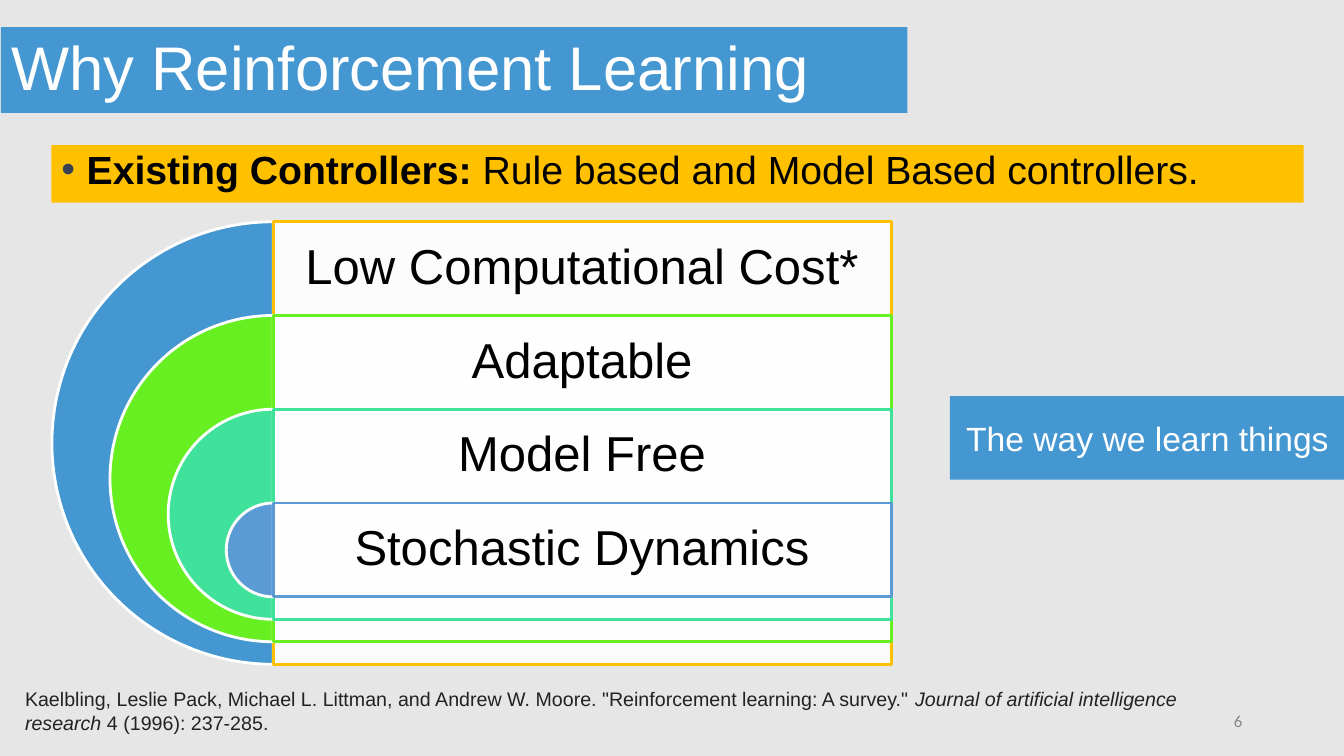
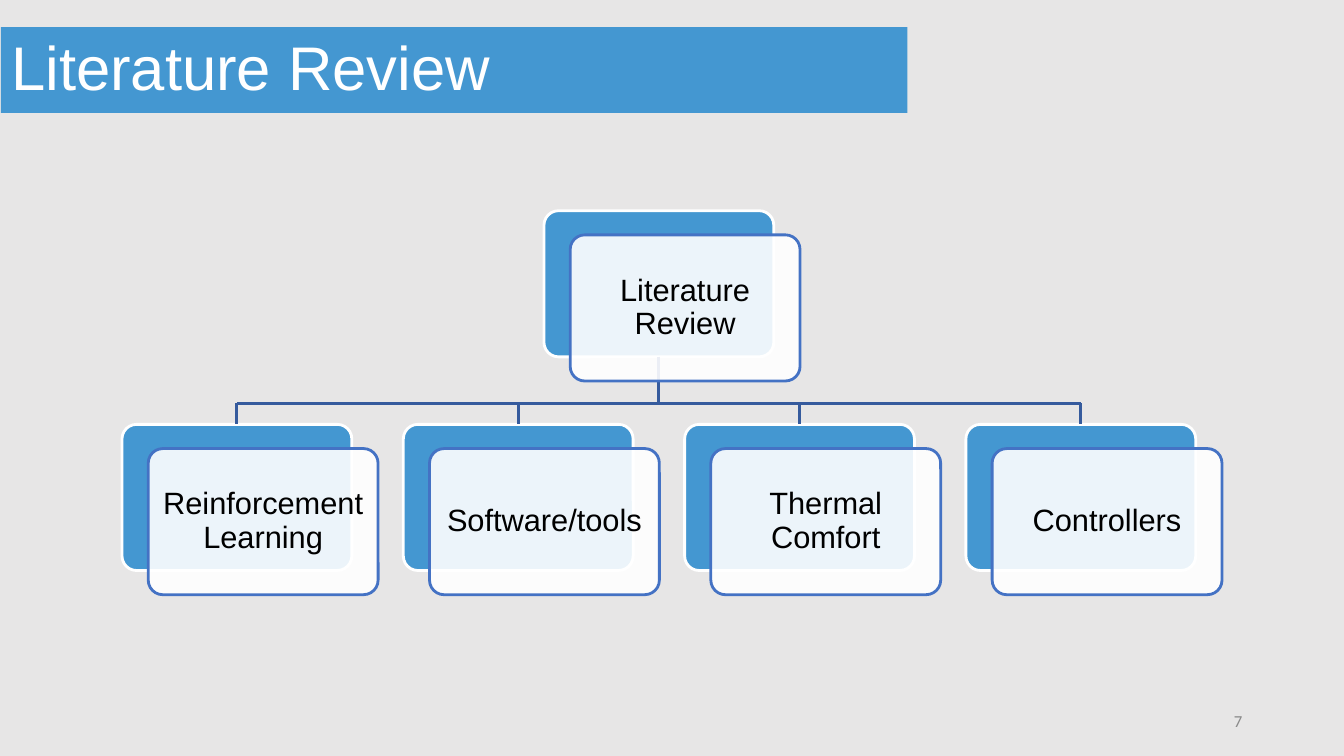
from lxml.etree import SubElement
from pptx import Presentation
from pptx.dml.color import RGBColor
from pptx.enum.shapes import MSO_CONNECTOR, MSO_SHAPE
from pptx.enum.text import MSO_ANCHOR, MSO_AUTO_SIZE, PP_ALIGN
from pptx.oxml.ns import qn
from pptx.util import Inches, Pt

BLUE = RGBColor(0x44, 0x97, 0xD1)
SOFT_BLUE = RGBColor(0x5B, 0x9B, 0xD5)
CARD_EDGE = RGBColor(0x44, 0x72, 0xC4)
TREE_LINE = RGBColor(0x36, 0x5B, 0x9D)
AMBER = RGBColor(0xFF, 0xC0, 0x00)
LIME = RGBColor(0x67, 0xEF, 0x21)
MINT = RGBColor(0x3F, 0xE1, 0x9B)
WHITE = RGBColor(0xFF, 0xFF, 0xFF)
BLACK = RGBColor(0x00, 0x00, 0x00)
INK = RGBColor(0x22, 0x22, 0x22)
BULLET = RGBColor(0x37, 0x41, 0x51)
GREY = RGBColor(0x89, 0x89, 0x89)
BACKDROP = RGBColor(0xE7, 0xE6, 0xE6)
TITLE_AND_CONTENT, TITLE_ONLY = 1, 5


def write(shape, spans, size, color, name="Arial", align=PP_ALIGN.LEFT,
          anchor=MSO_ANCHOR.MIDDLE, spacing=1.0):
    """Fill the shape with one paragraph made of (text, font attributes) spans."""
    frame = shape.text_frame
    frame.word_wrap = True
    frame.auto_size = MSO_AUTO_SIZE.NONE
    frame.vertical_anchor = anchor
    para = frame.paragraphs[0]
    para.alignment = align
    para.line_spacing = spacing
    para.space_before = Pt(0)
    for text, extras in spans:
        span = para.add_run()
        span.text = text
        span.font.color.rgb = color
        for key, value in {"name": name, "size": Pt(size), **extras}.items():
            setattr(span.font, key, value)
    return para


def add_block(page, kind, left, top, width, height, fill, edge=None, opacity=100):
    block = page.shapes.add_shape(
        kind, Inches(left), Inches(top), Inches(width), Inches(height))
    block.shadow.inherit = False
    block.fill.solid()
    block.fill.fore_color.rgb = fill
    if opacity < 100:
        tint = block.element.spPr.find(qn("a:solidFill"))[0]
        SubElement(tint, qn("a:alpha"), val=str(opacity * 1000))
    if edge is None:
        block.line.fill.background()
    else:
        block.line.color.rgb = edge
        block.line.width = Pt(2)
    return block


deck = Presentation()
deck.slide_width, deck.slide_height = Inches(13.33), Inches(7.5)

# Background, title band and page number
pages = []
for title, layout, number in [
    ("Why Reinforcement Learning", TITLE_AND_CONTENT, "6"),
    ("Literature Review", TITLE_ONLY, "7"),
]:
    page = deck.slides.add_slide(deck.slide_layouts[layout])
    page.background.fill.solid()
    page.background.fill.fore_color.rgb = BACKDROP
    band = page.shapes.title
    band.left, band.top, band.width, band.height = map(Inches, (0.01, 0.27, 8.99, 0.85))
    band.fill.solid()
    band.fill.fore_color.rgb = BLUE
    write(band, [(title, {})], 44, WHITE, spacing=0.9)
    number_box = page.shapes.add_textbox(*map(Inches, (9.42, 6.95, 3, 0.4)))
    write(number_box, [(number, {})], 12, GREY, name="Calibri", align=PP_ALIGN.RIGHT)
    pages.append(page)
reasons_page, review_page = pages

# Reasons: existing controllers
controllers = reasons_page.placeholders[1]
controllers.left, controllers.top, controllers.width, controllers.height = map(
    Inches, (0.51, 1.44, 12.42, 0.57))
controllers.fill.solid()
controllers.fill.fore_color.rgb = AMBER
para = write(
    controllers,
    [("Existing Controllers:", {"bold": True}),
     (" Rule based and Model Based controllers.", {"bold": False})],
    28, BLACK, anchor=MSO_ANCHOR.TOP, spacing=0.9)
bullet_format = para._p.get_or_add_pPr()
bullet_format.set("marL", str(Inches(0.25)))
bullet_format.set("indent", str(-Inches(0.25)))
SubElement(SubElement(bullet_format, qn("a:buClr")), qn("a:srgbClr"), val=str(BULLET))
SubElement(bullet_format, qn("a:buChar"), char="•")

# Reasons: nested half circles, each with a panel labelled in its top row
panel_left, panel_width, row_height = 2.71, 6.13, 0.93
for row, (reason, ring_color, edge) in enumerate([
    ("Low Computational Cost*", BLUE, AMBER),
    ("Adaptable", LIME, LIME),
    ("Model Free", MINT, MINT),
    ("Stochastic Dynamics", SOFT_BLUE, SOFT_BLUE),
]):
    top = 2.2 + row * row_height
    size = 4.39 - row * 1.153
    ring = add_block(reasons_page, MSO_SHAPE.PIE, panel_left - size / 2, top,
                     size, size, ring_color, WHITE)
    ring.adjustments[0], ring.adjustments[1] = 54, 162
    panel = add_block(reasons_page, MSO_SHAPE.RECTANGLE, panel_left, top,
                      panel_width, size, WHITE, edge, opacity=90)
    write(panel, [(reason, {})], 35, BLACK, align=PP_ALIGN.CENTER, spacing=0.9)
    for side in ("left", "top", "right"):
        setattr(panel.text_frame, f"margin_{side}", Inches(0.15))
    panel.text_frame.margin_bottom = Inches(size - row_height + 0.15)

# Reasons: closing remark and citation
remark = add_block(reasons_page, MSO_SHAPE.RECTANGLE, 9.42, 3.93, 3.92, 0.83, BLUE)
write(remark, [("The way we learn things", {})], 24, WHITE, align=PP_ALIGN.CENTER)
citation = reasons_page.shapes.add_textbox(*map(Inches, (0.15, 6.77, 12.27, 0.57)))
write(
    citation,
    [("Kaelbling, Leslie Pack, Michael L. Littman, and Andrew W. Moore. "
      "\"Reinforcement learning: A survey.\" ", {}),
     ("Journal of artificial intelligence research", {"italic": True}),
     (" 4 (1996): 237-285.", {"italic": False})],
    14, INK, anchor=MSO_ANCHOR.TOP)

# Review: tree of double cards joined through a horizontal bus
card_width, card_height, card_step = 2.28, 1.45, 2.79
first_left, child_top, bus_top = 1.21, 4.21, 4
topics = ["Reinforcement Learning", "Software/tools", "Thermal Comfort", "Controllers"]
last_left = first_left + card_step * (len(topics) - 1)
cards = [("Literature Review", (first_left + last_left) / 2, 2.09)]
cards += [(topic, first_left + card_step * column, child_top)
          for column, topic in enumerate(topics)]

connectors = [review_page.shapes.add_connector(
    MSO_CONNECTOR.STRAIGHT, Inches(first_left + card_width / 2), Inches(bus_top),
    Inches(last_left + card_width / 2), Inches(bus_top))]
for label, left, top in cards:
    back = add_block(review_page, MSO_SHAPE.ROUNDED_RECTANGLE, left, top,
                     card_width, card_height, BLUE, WHITE)
    middle = Inches(left + card_width / 2)
    branch = review_page.shapes.add_connector(
        MSO_CONNECTOR.STRAIGHT, middle, Inches(bus_top), middle, Inches(bus_top))
    if top < bus_top:
        branch.begin_connect(back, 2)
    else:
        branch.end_connect(back, 0)
    connectors.append(branch)
    front = add_block(review_page, MSO_SHAPE.ROUNDED_RECTANGLE, left + 0.26, top + 0.24,
                      card_width, card_height, WHITE, CARD_EDGE, opacity=90)
    back.adjustments[0] = front.adjustments[0] = 0.1
    write(front, [(label, {})], 22, BLACK, align=PP_ALIGN.CENTER, spacing=0.9)
    for side in ("left", "top", "right", "bottom"):
        setattr(front.text_frame, f"margin_{side}", Inches(0.09))

for connector in connectors:
    connector.line.color.rgb = TREE_LINE
    connector.line.width = Pt(2)
    SubElement(connector.element.spPr, qn("a:effectLst"))

deck.save("out.pptx")
